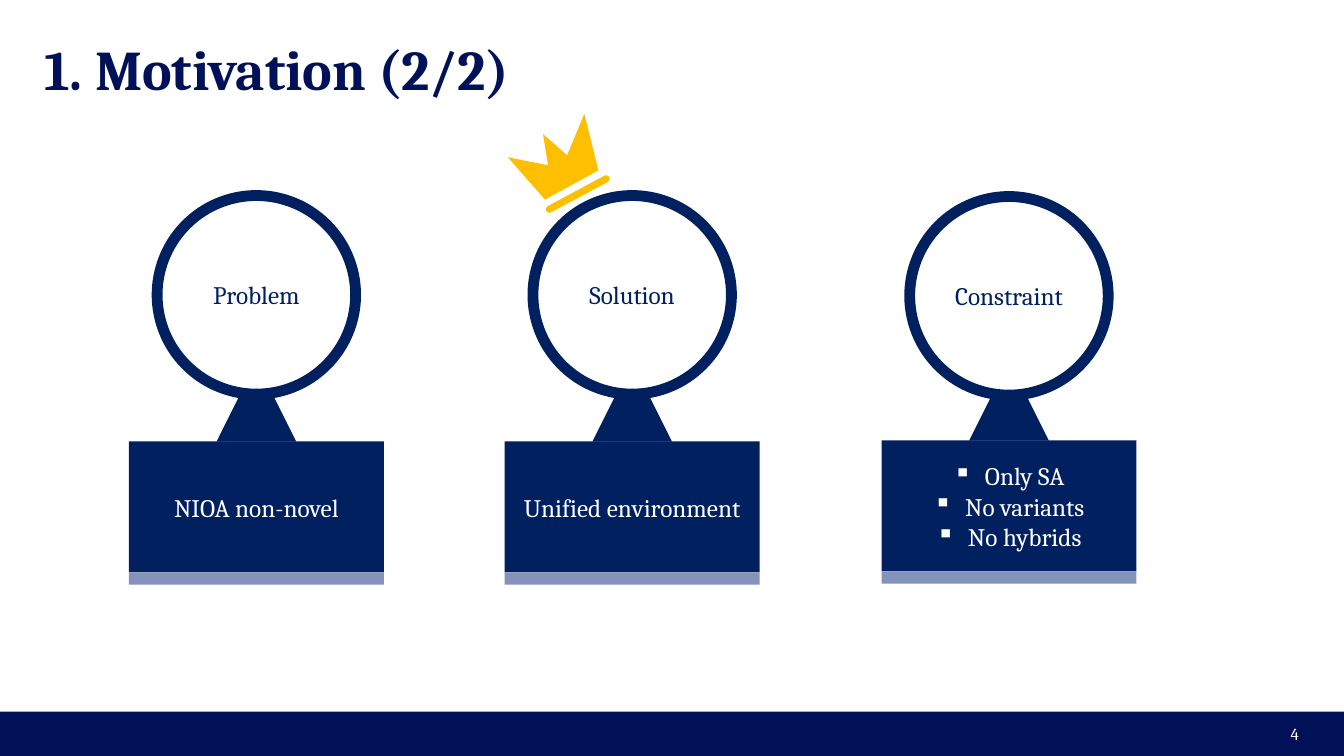
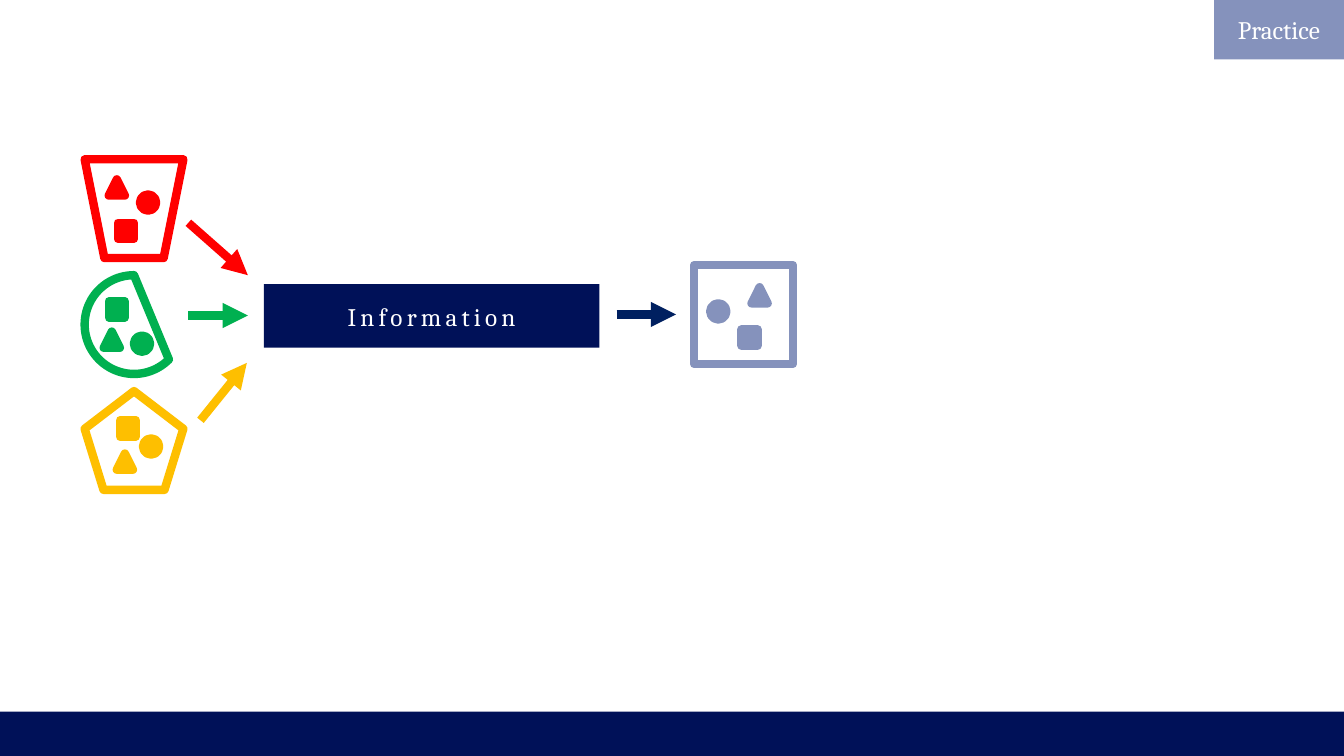
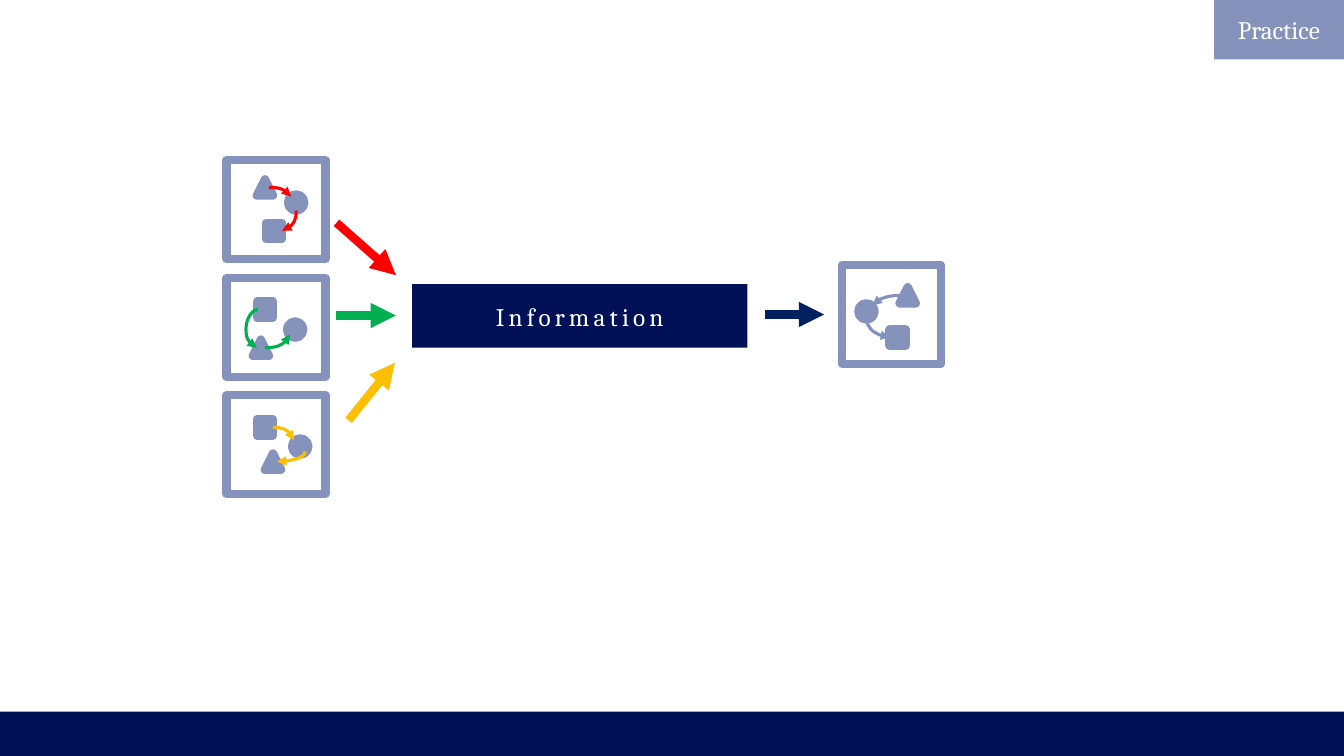
from lxml.etree import SubElement
from pptx import Presentation
from pptx.dml.color import RGBColor
from pptx.enum.shapes import MSO_CONNECTOR as LINK, MSO_SHAPE as SHAPE
from pptx.enum.text import MSO_ANCHOR as ANCHOR, MSO_AUTO_SIZE as FIT, PP_ALIGN as ALIGN
from pptx.oxml.ns import qn
from pptx.util import Pt

PX = 9144
FONT = "Cambria"
NAVY, BLUE, LILAC, WHITE = "001158", "002060", "8592BC", "FFFFFF"
RED, GREEN, GOLD = "FF0000", "00B050", "FEBF00"
rgb = RGBColor.from_string


def add_part(slide, kind, box, fill=None, line=None, weight=6, lines=(), ink=WHITE):
    part = slide.shapes.add_shape(kind, *[n * PX for n in box])
    part.shadow.inherit = False
    if fill:
        part.fill.solid()
        part.fill.fore_color.rgb = rgb(fill)
    else:
        part.fill.background()
    if line:
        part.line.color.rgb = rgb(line)
        part.line.width = Pt(weight)
    else:
        part.line.fill.background()
    if lines:
        part.text_frame.text = "\n".join(lines)
        part.text_frame.vertical_anchor = ANCHOR.MIDDLE
    for paragraph in part.text_frame.paragraphs if lines else ():
        paragraph.alignment = ALIGN.CENTER
        if len(lines) > 1:
            layout = paragraph._p.get_or_add_pPr()
            layout.set("marL", "285750")
            layout.set("indent", "-285750")
            SubElement(layout, qn("a:buChar"), char="▪")
        paragraph.font.name = FONT
        paragraph.font.size = Pt(18)
        paragraph.font.color.rgb = rgb(ink)
    return part


def add_arrow(slide, kind, ends, color, weight):
    arrow = slide.shapes.add_connector(kind, *[n * PX for n in ends])
    arrow.line.color.rgb = rgb(color)
    arrow.line.width = Pt(weight)
    SubElement(arrow.line._get_or_add_ln(), qn("a:tailEnd"), type="triangle")
    SubElement(arrow._element.spPr, qn("a:effectLst"))
    return arrow


prs = Presentation()
prs.slide_width, prs.slide_height = 1334 * PX, 750 * PX

motivation = prs.slides.add_slide(prs.slide_layouts[5])
footer = add_part(motivation, SHAPE.RECTANGLE, (0, 706, 1334, 44), NAVY)
footer._element.nvSpPr.cNvPr.set("id", "20")
prs.slide_master.shapes._spTree.insert(2, footer._element)

title = motivation.shapes.title
title.left, title.top, title.width, title.height = [n * PX for n in (44, 44, 1246, 47)]
heading = title.text_frame
heading.text = "1. Motivation (2/2)"
heading.auto_size = FIT.NONE
heading.vertical_anchor = ANCHOR.MIDDLE
heading.margin_left = heading.margin_top = heading.margin_right = heading.margin_bottom = 0
heading_line = heading.paragraphs[0]
heading_line.alignment = ALIGN.LEFT
heading_line.font.name = FONT
heading_line.font.size = Pt(40)
heading_line.font.bold = True
heading_line.font.color.rgb = rgb(NAVY)

page = motivation.shapes.add_textbox(*[n * PX for n in (999, 708, 300, 40)]).text_frame
page.word_wrap = True
page.text = "4"
page.vertical_anchor = ANCHOR.MIDDLE
page_line = page.paragraphs[0]
page_line.alignment = ALIGN.RIGHT
page_line.font.name = FONT
page_line.font.size = Pt(12)
page_line.font.color.rgb = rgb(WHITE)

outline = motivation.shapes.build_freeform(504, 156, scale=PX)
outline.add_line_segments([(544, 164), (539, 133), (563, 154), (580, 113), (594, 169), (541, 198)])
crown = outline.convert_to_shape()
crown.shadow.inherit = False
crown.fill.solid()
crown.fill.fore_color.rgb = rgb(GOLD)
crown.line.fill.background()
crown_band = add_part(motivation, SHAPE.ROUNDED_RECTANGLE, (538, 189, 71, 7), GOLD)
crown_band.adjustments[0] = 0.5
crown_band.rotation = 331.8

pillars = [
    ("Problem", ["NIOA non-novel"], 438, 194),
    ("Solution", ["Unified environment"], 438, 194),
    ("Constraint", ["Only SA", "No variants", "No hybrids"], 437, 195),
]
for i, (topic, points, top, circle_top) in enumerate(pillars):
    left = 128 + i * 747 // 2
    add_part(motivation, SHAPE.RECTANGLE, (left, top, 253, 130), BLUE, lines=points)
    add_part(motivation, SHAPE.ISOSCELES_TRIANGLE, (left + 87, top - 79, 79, 79), BLUE)
    add_part(motivation, SHAPE.RECTANGLE, (left, top + 130, 253, 12), LILAC)
    add_part(motivation, SHAPE.OVAL, (left + 28, circle_top, 197, 197), WHITE, BLUE, 7.75,
             [topic], BLUE)

TOKENS = (SHAPE.OVAL, SHAPE.ISOSCELES_TRIANGLE, SHAPE.RECTANGLE)
mixed_frames = [
    (SHAPE.FLOWCHART_MANUAL_OPERATION, (84, 158), RED, [(139, 193), (108, 178), (117, 221)]),
    (SHAPE.CHORD, (84, 273), GREEN, [(133, 333), (103, 329), (108, 299)]),
    (SHAPE.REGULAR_PENTAGON, (84, 388), GOLD, [(142, 435), (116, 450), (119, 417)]),
]
uniform_frames = [
    (SHAPE.RECTANGLE, (225, 159), LILAC, [(286, 193), (255, 178), (264, 221)]),
    (SHAPE.RECTANGLE, (225, 276), LILAC, [(285, 319), (251, 337), (255, 299)]),
    (SHAPE.RECTANGLE, (225, 392), LILAC, [(290, 435), (263, 450), (255, 416)]),
]
sequences = [
    ((267, 186, 289, 195), 0, RED),
    ((277, 212, 297, 226), 90, RED),
    ((255, 345, 256, 307), 180, GREEN),
    ((263, 345, 288, 332), 0, GREEN),
    ((271, 424, 292, 437), 0, GOLD),
    ((284, 439, 294, 467), 90, GOLD),
    ((881, 314, 863, 337), 270, LILAC),
    ((866, 303, 898, 293), 180, LILAC),
]
flows = [
    ((199, 417, 245, 360), GOLD),
    ((187, 221, 246, 273), RED),
    ((187, 313, 246, 313), GREEN),
    ((612, 312, 671, 312), BLUE),
]
for shift, inputs, curves in [(0, mixed_frames, []), (147, uniform_frames, sequences)]:
    practice = prs.slides.add_slide(prs.slide_layouts[6])
    add_part(practice, SHAPE.RECTANGLE, (1205, 0, 129, 59), LILAC, lines=["Practice"])
    information = add_part(practice, SHAPE.RECTANGLE, (262 + shift, 282, 333, 63), NAVY,
                           lines=["Information"])
    information.text_frame.paragraphs[0].runs[0]._r.get_or_add_rPr().set("spc", "300")
    for (x1, y1, x2, y2), color in flows:
        add_arrow(practice, LINK.STRAIGHT, (x1 + shift, y1, x2 + shift, y2), color, 6)

    result = (SHAPE.RECTANGLE, (689 + shift, 263), LILAC,
              [(705 + shift, 301), (746 + shift, 285), (736 + shift, 327)])
    for frame, corner, color, spots in inputs + [result]:
        for token, spot in zip(TOKENS, spots):
            add_part(practice, token, (*spot, 16, 16), color, color)
        add_part(practice, frame, (*corner, 98, 98), line=color)

    for ends, turn, color in curves:
        curve = add_arrow(practice, LINK.CURVE, ends, color, 2.25)
        curve._element.spPr.xfrm.set("rot", str(turn * 60000))
        geometry = curve._element.spPr.find(qn("a:prstGeom"))
        if curve.width == PX:
            SubElement(geometry.find(qn("a:avLst")), qn("a:gd"), name="adj1", fmla="val 1200000")
        else:
            geometry.set("prst", "curvedConnector2")

prs.save("out.pptx")
